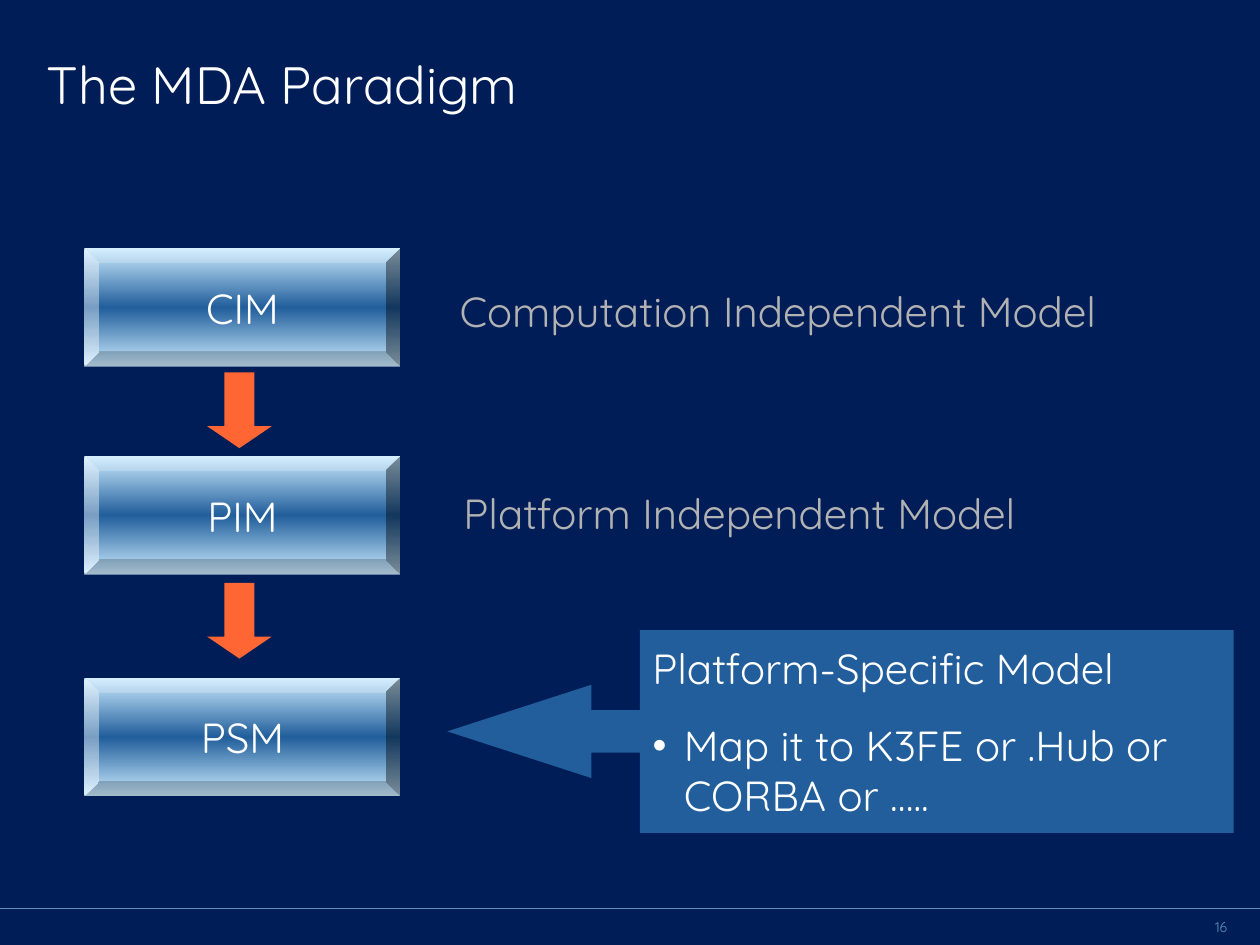
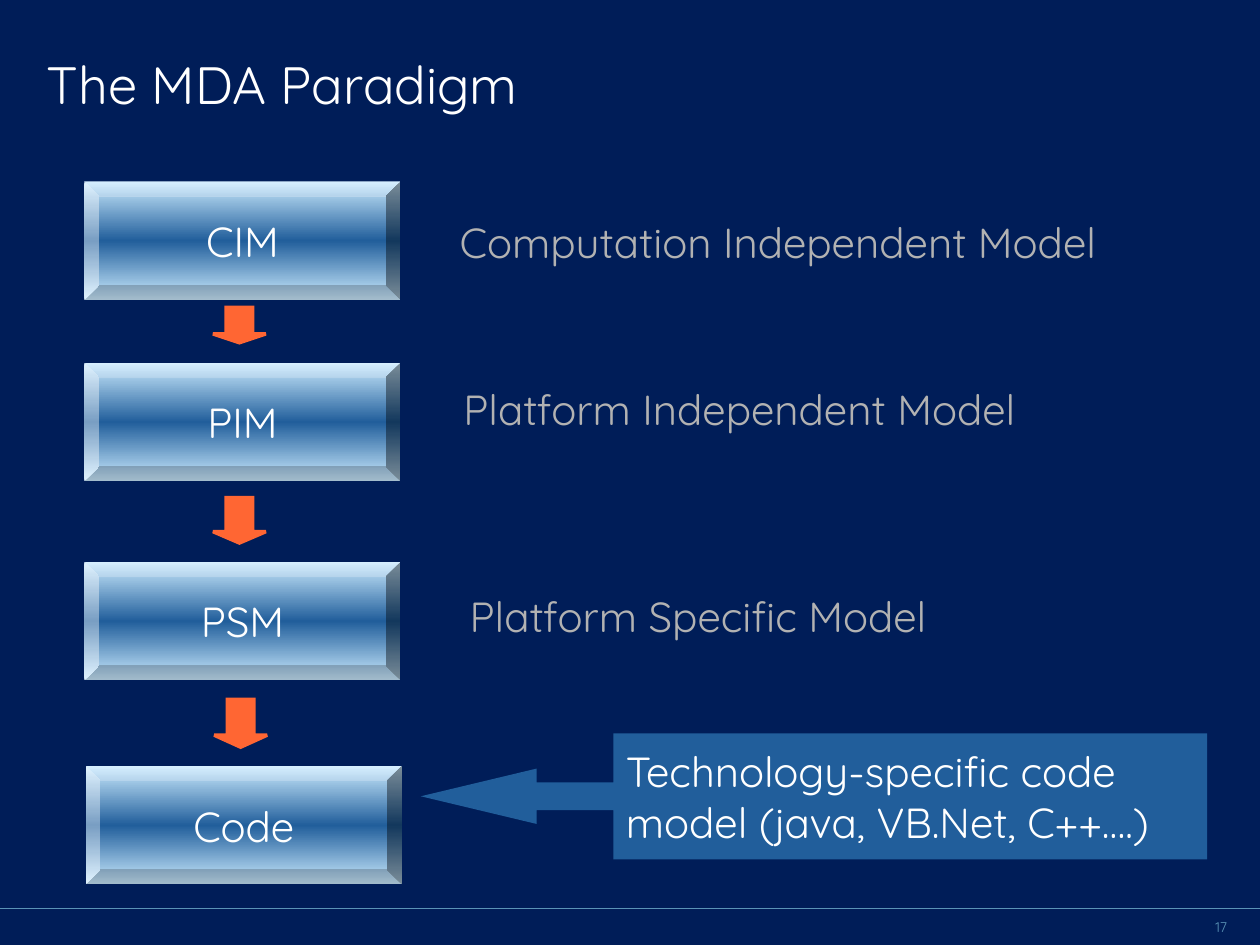
from copy import deepcopy

from lxml import etree
from pptx import Presentation
from pptx.dml.color import RGBColor
from pptx.enum import shapes, text
from pptx.oxml import ns
from pptx.util import Inches, Pt

# Shared look
NAVY = RGBColor(0x00, 0x1D, 0x58)
BLUE = RGBColor(0x21, 0x5E, 0x9B)
ICE = RGBColor(0xCC, 0xEC, 0xFF)
ORANGE = RGBColor(0xFF, 0x66, 0x33)
STEEL = RGBColor(0x5A, 0x93, 0xB6)
GREY = RGBColor(0xB2, 0xB2, 0xB2)
WHITE = RGBColor(0xFF, 0xFF, 0xFF)
FONT = "Quicksand"
BODY = {"size": Pt(24), "color": WHITE, "space_before": Pt(15)}

# Shared column of model boxes and arrows
BOX_LEFT, BOX_WIDTH, BOX_HEIGHT = 0.67, 2.51, 0.94
ARROW_LEFT, ARROW_WIDTH = 1.69, 0.42
LABEL_WIDTH, LABEL_HEIGHT = 5.43, 0.6

# Each slide: models (name, left, top), arrows (left, top, height), labels (text, left, top)
SLIDES = [
    {
        "number": 16,
        "models": [("CIM", BOX_LEFT, 1.97), ("PIM", BOX_LEFT, 3.62), ("PSM", BOX_LEFT, 5.38)],
        "arrows": [(ARROW_LEFT, 2.97, 0.57), (ARROW_LEFT, 4.64, 0.57)],
        "arrow_head": 0.34,
        "labels": [("Computation Independent Model", 3.55, 2.17),
                   ("Platform Independent Model", 3.58, 3.77)],
        "callout": {"box": (3.55, 5, 6.24, 1.61),
                    "adjustments": (0.21, 0.23, 0.71, 0.755),
                    "lines": ["Platform-Specific Model",
                              "Map it to K3FE or .Hub or CORBA or ….."]},
    },
    {
        "number": 17,
        "models": [("CIM", BOX_LEFT, 1.44), ("PIM", BOX_LEFT, 2.88),
                   ("PSM", BOX_LEFT, 4.46), ("Code", 0.68, 6.08)],
        "arrows": [(ARROW_LEFT, 2.44, 0.28), (ARROW_LEFT, 3.95, 0.36), (1.7, 5.55, 0.38)],
        "arrow_head": 0.25,
        "labels": [("Computation Independent Model", 3.55, 1.62),
                   ("Platform Independent Model", 3.58, 2.94),
                   ("Platform Specific Model", 3.63, 4.59)],
        "callout": {"box": (3.34, 5.82, 6.24, 1),
                    "adjustments": (0.22, 0.22, 0.92, 0.755),
                    "lines": ["Technology-specific code model (java, VB.Net, C++….)"]},
    },
]


def write(shape, lines, size, color, space_before=None, align=text.PP_ALIGN.LEFT,
          anchor=text.MSO_ANCHOR.MIDDLE, inset=0.1, wrap=True):
    frame = shape.text_frame
    frame.text = "\n".join(lines)
    margins = {f"margin_{side}": Inches(inset) for side in ("left", "top", "right", "bottom")}
    for name, value in {"word_wrap": wrap, "vertical_anchor": anchor, **margins}.items():
        setattr(frame, name, value)
    for paragraph in frame.paragraphs:
        paragraph.alignment = align
        paragraph.space_before = space_before
        font = paragraph.runs[0].font
        for name, value in {"name": FONT, "size": size}.items():
            setattr(font, name, value)
        font.color.rgb = color
    return frame


def add_text(slide, box, content, **style):
    area = slide.shapes.add_textbox(*map(Inches, box))
    write(area, [content], **style)


def add_block(slide, preset, box, adjustments):
    block = slide.shapes.add_shape(preset, *map(Inches, box))
    block.shadow.inherit = False
    block.line.fill.background()
    for index, value in enumerate(adjustments):
        block.adjustments[index] = value
    return block


def add_model(slide, name, left, top):
    model = add_block(slide, shapes.MSO_SHAPE.BEVEL,
                      (left, top, BOX_WIDTH, BOX_HEIGHT), [0.125])
    model.fill.gradient()
    model.fill.gradient_angle = 90
    # The default gradient has two stops; a third makes the dark middle
    stop_list = next(model._element.spPr.iter(ns.qn("a:gsLst")))
    stop_list.insert(1, deepcopy(stop_list[0]))
    for stop, position, color in zip(model.fill.gradient_stops, (0, 0.5, 1), (ICE, BLUE, ICE)):
        stop.position = position
        stop.color.rgb = color
    write(model, [name], align=text.PP_ALIGN.CENTER, wrap=False, **BODY)


def add_step_arrow(slide, left, top, height, head):
    arrow = add_block(slide, shapes.MSO_SHAPE.DOWN_ARROW,
                      (left, top, ARROW_WIDTH, height), [0.5, head])
    arrow.fill.solid()
    arrow.fill.fore_color.rgb = ORANGE
    arrow.line.color.rgb = ORANGE
    arrow.line.width = Pt(2)
    # Sharp outline corners
    etree.SubElement(arrow.line._get_or_add_ln(), ns.qn("a:miter"), lim="800000")


def add_bullet(paragraph):
    properties = paragraph._p.get_or_add_pPr()
    properties.set("marL", str(Inches(0.25)))
    properties.set("indent", str(Inches(-0.25)))
    etree.SubElement(properties, ns.qn("a:buFont"), typeface=FONT)
    etree.SubElement(properties, ns.qn("a:buChar"), char="•")


def add_callout(slide, box, adjustments, lines):
    callout = add_block(slide, shapes.MSO_SHAPE.LEFT_ARROW_CALLOUT, box, adjustments)
    callout.fill.solid()
    callout.fill.fore_color.rgb = BLUE
    frame = write(callout, lines, **BODY)
    for detail in frame.paragraphs[1:]:
        add_bullet(detail)


def add_frame(slide, number):
    # Background, title, footer rule and page number
    slide.background.fill.solid()
    slide.background.fill.fore_color.rgb = NAVY
    rule = slide.shapes.add_connector(shapes.MSO_CONNECTOR.STRAIGHT, Inches(0), Inches(7.21),
                                      Inches(10), Inches(7.21))
    rule.line.color.rgb = STEEL
    rule.line.width = Pt(0.75)
    etree.SubElement(rule._element.spPr, ns.qn("a:effectLst"))
    add_text(slide, (0.37, 0.21, 8.02, 0.9), "The MDA Paradigm",
             size=Pt(30), color=WHITE, inset=0)
    add_text(slide, (9.3, 7.28, 0.44, 0.15), str(number),
             size=Pt(8), color=STEEL, inset=0, align=text.PP_ALIGN.RIGHT)


def main():
    deck = Presentation()
    deck.slide_width, deck.slide_height = Inches(10), Inches(7.5)
    for content in SLIDES:
        slide = deck.slides.add_slide(deck.slide_layouts[6])
        add_frame(slide, content["number"])
        for model in content["models"]:
            add_model(slide, *model)
        for arrow in content["arrows"]:
            add_step_arrow(slide, *arrow, content["arrow_head"])
        add_callout(slide, **content["callout"])
        for label, left, top in content["labels"]:
            add_text(slide, (left, top, LABEL_WIDTH, LABEL_HEIGHT), label,
                     anchor=text.MSO_ANCHOR.TOP, **{**BODY, "color": GREY})
    deck.save("out.pptx")


if __name__ == "__main__":
    main()
